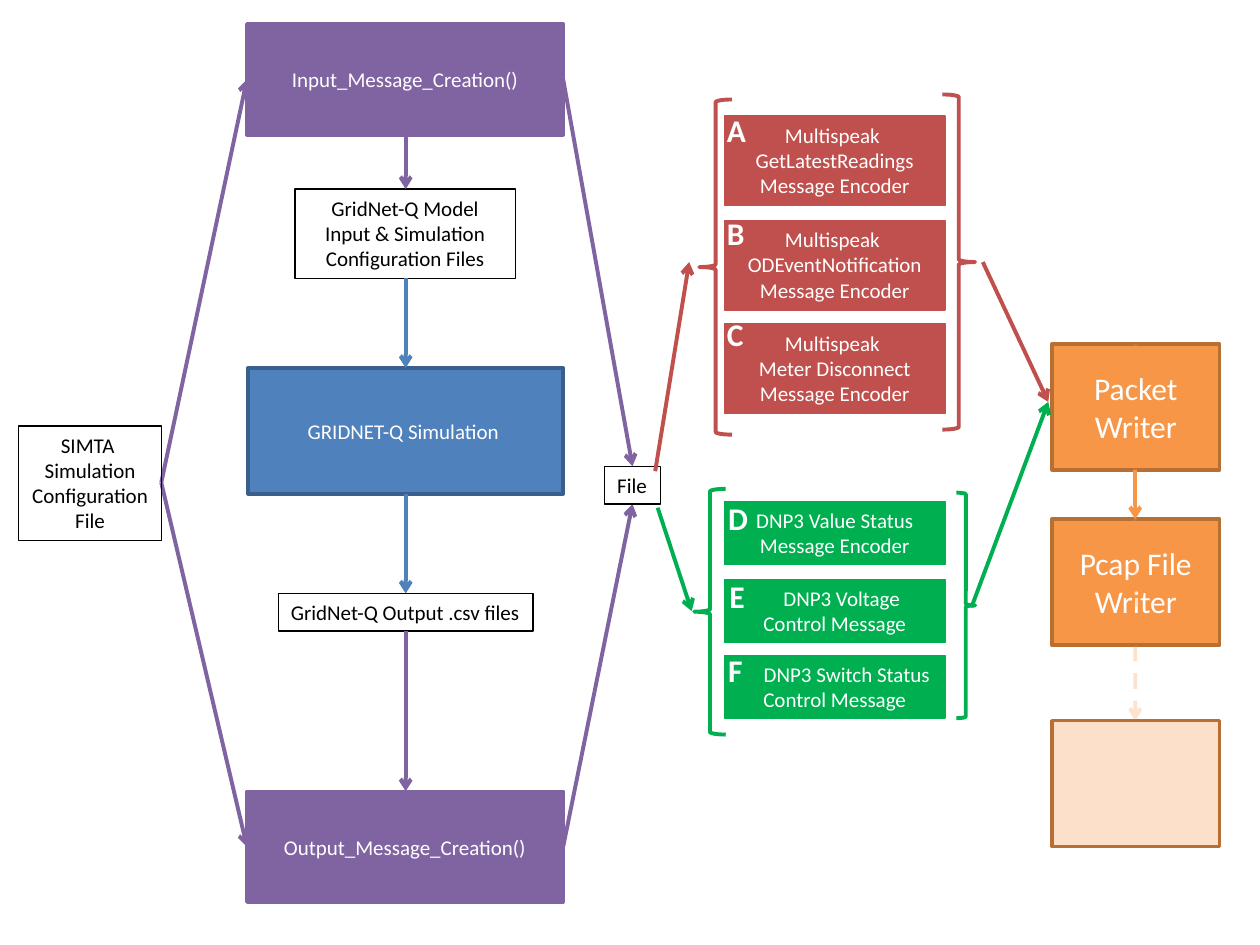
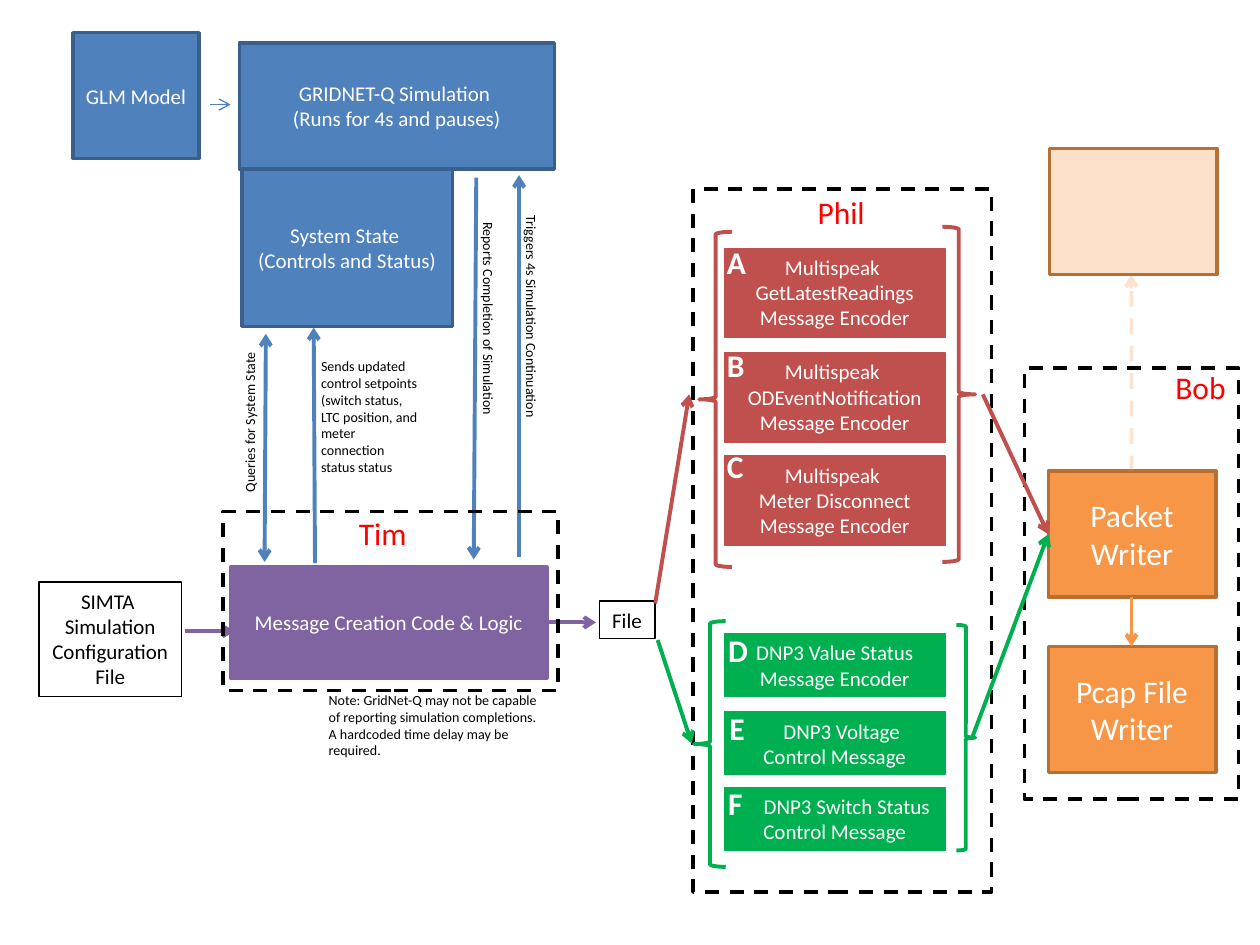
from lxml import etree
from pptx import Presentation
from pptx.dml.color import RGBColor
from pptx.enum.dml import MSO_LINE
from pptx.enum.shapes import MSO_CONNECTOR, MSO_SHAPE
from pptx.enum.text import MSO_ANCHOR, PP_ALIGN
from pptx.oxml.ns import qn
from pptx.util import Inches, Pt

WHITE = RGBColor(0xFF, 0xFF, 0xFF)
BLACK = RGBColor(0x00, 0x00, 0x00)
NAME_RED = RGBColor(0xFF, 0x00, 0x00)
BLUE = RGBColor(0x4F, 0x81, 0xBD)
DARK_BLUE = RGBColor(0x3A, 0x5F, 0x8C)
PURPLE = RGBColor(0x80, 0x64, 0xA2)
RED = RGBColor(0xC0, 0x50, 0x4D)
GREEN = RGBColor(0x00, 0xB0, 0x50)
ORANGE = RGBColor(0xF7, 0x96, 0x46)
DARK_ORANGE = RGBColor(0xB7, 0x6F, 0x34)

RECT, LEFT_BRACE, RIGHT_BRACE = MSO_SHAPE.RECTANGLE, MSO_SHAPE.LEFT_BRACE, MSO_SHAPE.RIGHT_BRACE
STRAIGHT = MSO_CONNECTOR.STRAIGHT
DASH = MSO_LINE.DASH
LEFT, CENTER = PP_ALIGN.LEFT, PP_ALIGN.CENTER
TOP, MIDDLE = MSO_ANCHOR.TOP, MSO_ANCHOR.MIDDLE
FONT = "Calibri"


def box(slide, at, text="", fill=None, line=None, width=2, size=12, color=WHITE,
        align=CENTER, anchor=MIDDLE, wrap=True, kind=RECT):
    """Add a shape, or a text box when kind is None."""
    place = [Inches(length) for length in at]
    if kind is None:
        shape = slide.shapes.add_textbox(*place)
    else:
        shape = slide.shapes.add_shape(kind, *place)
        shape.shadow.inherit = False
        shape.line.color.rgb = line
        shape.line.width = Pt(width)
        if fill is None:
            shape.fill.background()
        else:
            shape.fill.solid()
            shape.fill.fore_color.rgb = fill
    if text:
        frame = shape.text_frame
        frame.text = text
        frame.word_wrap = wrap
        frame.vertical_anchor = anchor
        for paragraph in frame.paragraphs:
            paragraph.alignment = align
            font = paragraph.runs[0].font
            font.name, font.size, font.color.rgb = FONT, Pt(size), color
    return shape


def arrow(slide, start, end, color, width=2.25, both=False, faint=False):
    """Add an open-headed arrow; a faint one is dashed and translucent."""
    link = slide.shapes.add_connector(STRAIGHT, *[Inches(v) for v in (*start, *end)])
    link.line.color.rgb = color
    link.line.width = Pt(width)
    properties = link._element.spPr
    if faint:
        link.line.dash_style = DASH
        tint = properties.find(".//" + qn("a:srgbClr"))
        etree.SubElement(tint, qn("a:alpha"), val="25000")
    outline = properties.find(qn("a:ln"))
    if both:
        etree.SubElement(outline, qn("a:headEnd"), type="arrow")
    etree.SubElement(outline, qn("a:tailEnd"), type="arrow")
    etree.SubElement(properties, qn("a:effectLst"))


prs = Presentation()
prs.slide_width, prs.slide_height = Inches(10), Inches(7.5)
blank = prs.slide_layouts[6]
batch = prs.slides.add_slide(blank)
live = prs.slides.add_slide(blank)

SOLID_BLUE = dict(fill=BLUE, line=DARK_BLUE)
SOLID_PURPLE = dict(fill=PURPLE, line=PURPLE)
SOLID_ORANGE = dict(fill=ORANGE, line=DARK_ORANGE, size=18)
PAPER = dict(line=BLACK, width=0.75, color=BLACK, anchor=TOP)
PAPER_LINE = dict(PAPER, align=LEFT, wrap=False)
NOTE = dict(size=8, color=BLACK, align=LEFT, anchor=TOP, kind=None)
OWNER = dict(size=18, color=NAME_RED, align=LEFT, anchor=TOP, kind=None)

# Slide 1: the simulation runs once, between input and output messages
box(batch, (1.96, 0.19, 2.51, 0.88), "Input_Message_Creation()", **SOLID_PURPLE)
box(batch, (2.34, 1.5, 1.75, 0.71),
    "GridNet-Q Model Input & Simulation Configuration Files", **PAPER)
box(batch, (1.97, 2.92, 2.5, 1), "GRIDNET-Q Simulation ", **SOLID_BLUE)
box(batch, (2.21, 4.71, 2.02, 0.3), "GridNet-Q Output .csv files", **PAPER_LINE)
box(batch, (1.96, 6.28, 2.51, 0.88), "Output_Message_Creation()", **SOLID_PURPLE)

for top, bottom, color in ((1.06, 1.5, PURPLE), (2.21, 2.92, BLUE),
                           (3.92, 4.71, BLUE), (5.01, 6.28, PURPLE)):
    arrow(batch, (3.22, top), (3.22, bottom), color)
for message_y, file_y in ((0.63, 3.7), (6.72, 4)):
    arrow(batch, (1.28, 3.83), (1.96, message_y), PURPLE)
    arrow(batch, (4.47, message_y), (5.02, file_y), PURPLE)

# Slide 2: the simulation pauses and exchanges state with the message code
box(live, (1.9, 0.34, 2.5, 1), "GRIDNET-Q Simulation \n(Runs for 4s and pauses)", **SOLID_BLUE)
box(live, (0.58, 0.26, 1, 1), "GLM Model", **SOLID_BLUE)
box(live, (1.92, 1.34, 1.67, 1.25), "System State \n(Controls and Status)", **SOLID_BLUE)
box(live, (1.83, 4.5, 2.51, 0.88), "Message Creation Code & Logic", **SOLID_PURPLE)

arrow(live, (1.67, 0.83), (1.83, 0.83), BLUE, width=0.75)
arrow(live, (2.1, 4.46), (2.11, 2.65), BLUE, both=True)
arrow(live, (2.5, 4.47), (2.49, 2.6), BLUE)
arrow(live, (3.78, 1.41), (3.76, 4.44), BLUE)
arrow(live, (4.12, 4.42), (4.12, 1.39), BLUE)
arrow(live, (1.47, 5.01), (1.86, 5.01), PURPLE)
arrow(live, (4.35, 4.94), (4.73, 4.94), PURPLE)

for at, text, angle in (
        ((1.32, 3.22, 1.33, 0.24), "Queries for System State", 270),
        ((3, 2.42, 1.75, 0.24), "Reports Completion of Simulation", 90),
        ((3.29, 2.42, 1.85, 0.24), "Triggers 4s Simulation Continuation", 90)):
    box(live, at, text, wrap=False, **NOTE).rotation = angle
box(live, (2.45, 2.79, 0.97, 1.04),
    "Sends updated control setpoints (switch status, LTC position, and meter "
    "connection status status", **NOTE)
box(live, (2.51, 5.44, 1.89, 0.64),
    "Note: GridNet-Q may not be capable of reporting simulation completions. "
    "A hardcoded time delay may be required.", **NOTE)

# Slide 2: dashed areas with the person responsible
for area, name, name_at in (
        ((1.77, 4.06, 2.66, 1.42), "Tim", (2.75, 4.03, 0.8, 0.4)),
        ((5.5, 1.5, 2.37, 5.58), "Phil", (6.39, 1.48, 0.8, 0.4)),
        ((8.13, 2.92, 1.7, 3.42), "Bob", (9.23, 2.87, 0.61, 0.4))):
    box(live, area, line=BLACK).line.dash_style = DASH
    box(live, name_at, name, **OWNER)

# Both slides: configuration, file, packet writers and the pale replay step
for slide, config, file, writer_x, writer_y, pcap_y, replay_at, replay_link in (
        (batch, (0.15, 3.38), (4.8, 3.7), 8.35, 2.73, 4.12, (8.35, 5.72), (2.73, 5.72)),
        (live, (0.31, 4.62), (4.76, 4.77), 8.32, 3.74, 5.13, (8.33, 1.18), (3.74, 2.18))):
    box(slide, (*config, 1.13, 0.91), "SIMTA \nSimulation Configuration File", **PAPER)
    box(slide, (*file, 0.44, 0.3), "File", **PAPER_LINE)
    box(slide, (writer_x, writer_y, 1.33, 1), "Packet Writer", **SOLID_ORANGE)
    box(slide, (writer_x, pcap_y, 1.33, 1), "Pcap File Writer", **SOLID_ORANGE)
    replay = box(slide, (*replay_at, 1.33, 1), **SOLID_ORANGE)
    replay_tint = replay._element.spPr.find(".//" + qn("a:srgbClr"))
    etree.SubElement(replay_tint, qn("a:alpha"), val="29000")
    middle = writer_x + 0.66
    arrow(slide, (middle, writer_y + 1), (middle, pcap_y), ORANGE)
    arrow(slide, (middle, replay_link[0]), (middle, replay_link[1]), ORANGE, faint=True)

# Both slides: message encoders, lower down on the second one
# Letter, letter position, box top, box height, colour, text, first-line indent
ENCODERS = (
    ("A", 5.67, 0.83, 0.92, 0.71, RED, "Multispeak \nGetLatestReadings\nMessage Encoder", 0),
    ("B", 5.67, 1.65, 1.75, 0.71, RED, "Multispeak \nODEventNotification\nMessage Encoder", 0),
    ("C", 5.67, 2.45, 2.57, 0.71, RED, "Multispeak \nMeter Disconnect\nMessage Encoder", 0),
    ("D", 5.68, 3.91, 3.98, 0.5, GREEN, "DNP3 Value Status Message Encoder", 0),
    ("E", 5.69, 4.53, 4.6, 0.5, GREEN, "DNP3 Voltage Control Message", 0.11),
    ("F", 5.68, 5.12, 5.2, 0.5, GREEN, "DNP3 Switch Status Control Message", 0.19),
)
BRACES = (
    (LEFT_BRACE, (5.55, 0.79, 0.26, 2.66), RED),
    (RIGHT_BRACE, (7.48, 0.75, 0.26, 2.66), RED),
    (LEFT_BRACE, (5.51, 3.88, 0.25, 1.95), GREEN),
    (RIGHT_BRACE, (7.59, 3.91, 0.15, 1.79), GREEN),
)
ENCODER_LINKS = (
    ((5.2, 3.74), (5.47, 2.08), RED),
    ((5.22, 4.03), (5.49, 4.85), GREEN),
    ((7.8, 2.08), (8.32, 3.19), RED),
    ((7.71, 4.82), (8.32, 3.19), GREEN),
)
for slide, drop in ((batch, 0), (live, 1.05)):
    for letter, letter_x, letter_y, top, height, color, text, indent in ENCODERS:
        encoder = box(slide, (5.75, top + drop, 1.75, height), text,
                      fill=color, line=color, width=0.75, anchor=TOP)
        if indent:
            first_line = encoder.text_frame.paragraphs[0]._p.get_or_add_pPr()
            first_line.set("indent", str(Inches(indent)))
        label = box(slide, (letter_x, letter_y + drop, 0.35, 0.4), letter,
                    size=18, align=LEFT, anchor=TOP, kind=None)
        label.text_frame.paragraphs[0].runs[0].font.bold = True
    for kind, (x, y, w, h), color in BRACES:
        box(slide, (x, y + drop, w, h), line=color, width=2.25, kind=kind)
    for (x1, y1), (x2, y2), color in ENCODER_LINKS:
        arrow(slide, (x1, y1 + drop), (x2, y2 + drop), color)

prs.save("out.pptx")
